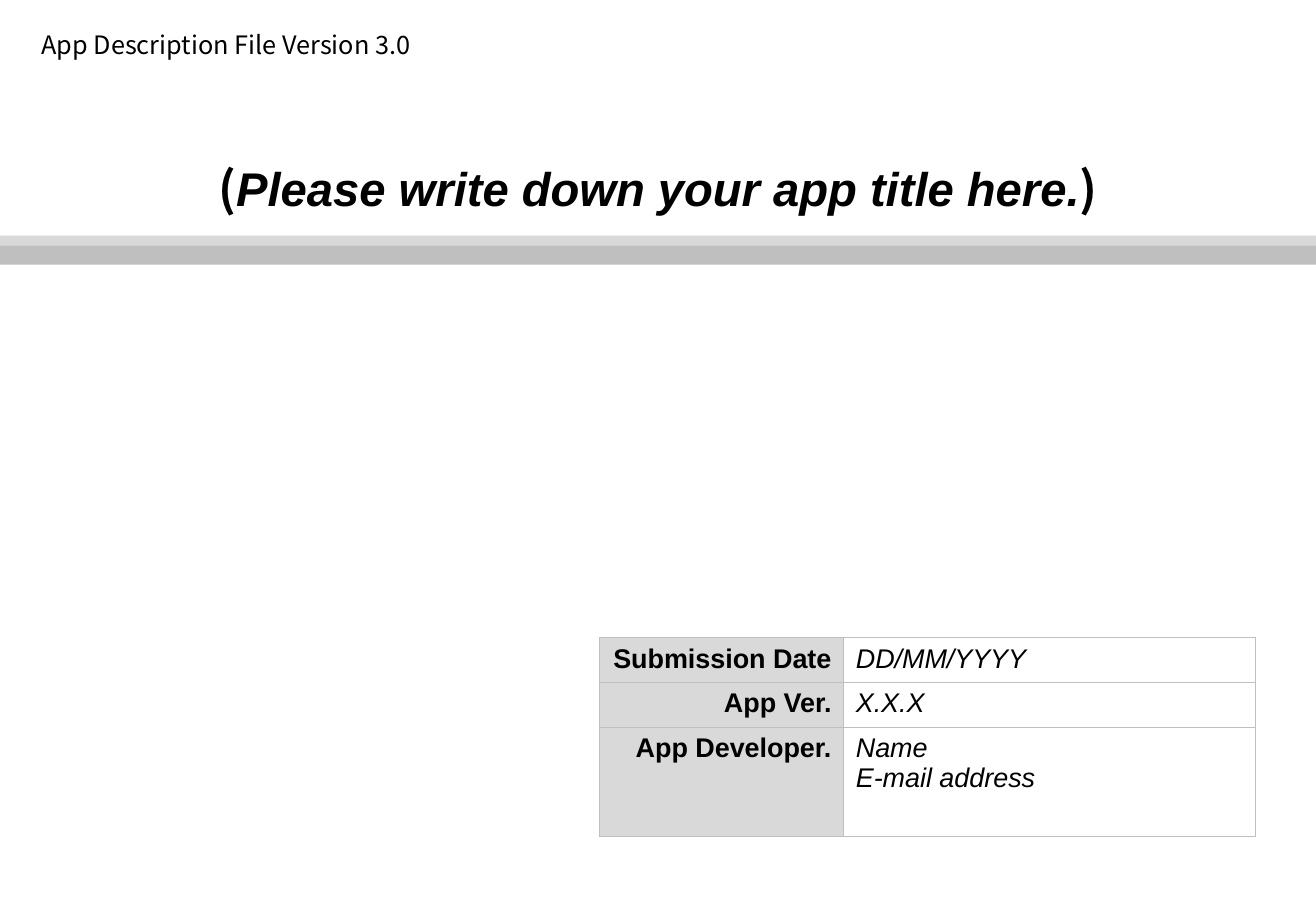
from dataclasses import dataclass

from lxml import etree
from pptx import Presentation
from pptx.dml.color import RGBColor
from pptx.enum.shapes import MSO_SHAPE
from pptx.enum.text import MSO_ANCHOR, MSO_AUTO_SIZE, PP_ALIGN
from pptx.oxml.ns import qn
from pptx.util import Inches, Pt

RECT = MSO_SHAPE.RECTANGLE
TOP, MIDDLE = MSO_ANCHOR.TOP, MSO_ANCHOR.MIDDLE
LEFT, CENTER, RIGHT = PP_ALIGN.LEFT, PP_ALIGN.CENTER, PP_ALIGN.RIGHT
NO_FIT = MSO_AUTO_SIZE.NONE

BLACK = RGBColor(0x00, 0x00, 0x00)
LIGHT_GRAY = RGBColor(0xD9, 0xD9, 0xD9)
MID_GRAY = RGBColor(0xBF, 0xBF, 0xBF)

SANS = "Arial"
CJK = "Noto Sans CJK KR"
SLIDE_W, SLIDE_H = 10.84, 7.5
BORDER_PT = 0.45


@dataclass
class Bar:
    top: float
    height: float
    color: RGBColor


@dataclass
class Field:
    label: str
    values: list[str]
    height: float


BARS = [Bar(1.94, 0.08, LIGHT_GRAY), Bar(2.02, 0.16, MID_GRAY)]
FIELDS = [
    Field("Submission Date", ["DD/MM/YYYY"], 0.37),
    Field("App Ver.", ["X.X.X"], 0.37),
    Field("App Developer.", ["Name", "E-mail address"], 0.9),
]
COLUMN_WIDTHS = [2.01, 3.39]


def add_run(p, text: str, size: float, font: str, **style) -> None:
    r = p.add_run()
    r.text = text
    r.font.color.rgb = BLACK
    formats = {"size": Pt(size), "name": font, "bold": False, "italic": False} | style
    for name, value in formats.items():
        setattr(r.font, name, value)


def format_frame(tf, margins: tuple[float, float]) -> None:
    left, right = margins
    formats = {
        "word_wrap": True, "auto_size": NO_FIT, "vertical_anchor": MIDDLE,
        "margin_left": Inches(left), "margin_right": Inches(right),
        "margin_top": Inches(0.05), "margin_bottom": Inches(0.05),
    }
    for name, value in formats.items():
        setattr(tf, name, value)


def add_bar(s, bar: Bar) -> None:
    sp = s.shapes.add_shape(RECT, 0, Inches(bar.top), Inches(SLIDE_W), Inches(bar.height))
    sp.shadow.inherit = False
    sp.fill.solid()
    sp.fill.fore_color.rgb = bar.color
    sp.line.fill.background()


def set_borders(cell) -> None:
    tc_pr = cell._tc.get_or_add_tcPr()
    for side in ("lnL", "lnR", "lnT", "lnB"):
        ln = etree.SubElement(tc_pr, qn(f"a:{side}"), w=str(Pt(BORDER_PT)))
        fill = etree.SubElement(ln, qn("a:solidFill"))
        etree.SubElement(fill, qn("a:srgbClr"), val=str(MID_GRAY))


def fill_cell(cell, lines: list[str], is_label: bool) -> None:
    set_borders(cell)
    if is_label:
        cell.fill.solid()
        cell.fill.fore_color.rgb = LIGHT_GRAY
    else:
        cell.fill.background()
    cell.vertical_anchor = TOP
    tf = cell.text_frame
    for i, line in enumerate(lines):
        p = tf.add_paragraph() if i else tf.paragraphs[0]
        p.alignment = RIGHT if is_label else LEFT
        add_run(p, line, 16, SANS, bold=is_label, italic=not is_label)


def add_field_table(s, left: float, top: float) -> None:
    frame = s.shapes.add_table(
        len(FIELDS), len(COLUMN_WIDTHS), Inches(left), Inches(top),
        Inches(sum(COLUMN_WIDTHS)), Inches(sum(f.height for f in FIELDS)))
    table = frame.table
    table.first_row = table.horz_banding = False
    for column, width in zip(table.columns, COLUMN_WIDTHS):
        column.width = Inches(width)
    for i, field in enumerate(FIELDS):
        table.rows[i].height = Inches(field.height)
        fill_cell(table.cell(i, 0), [field.label], True)
        fill_cell(table.cell(i, 1), field.values, False)


def main() -> None:
    prs = Presentation()
    prs.slide_width, prs.slide_height = Inches(SLIDE_W), Inches(SLIDE_H)
    s = prs.slides.add_slide(prs.slide_layouts[5])

    # Double rule below the title
    for bar in BARS:
        add_bar(s, bar)

    # App title
    title = s.shapes.title
    title.left, title.top = Inches(0), Inches(1.15)
    title.width, title.height = Inches(SLIDE_W), Inches(0.79)
    format_frame(title.text_frame, (0.1, 0.1))
    p = title.text_frame.paragraphs[0]
    p.alignment = CENTER
    add_run(p, "(", 28, CJK, bold=True)
    add_run(p, "Please write down your app title here.", 28, SANS, bold=True, italic=True)
    add_run(p, ")", 28, CJK, bold=True)

    # File version
    version = s.shapes.add_textbox(Inches(0.3), Inches(0.21), Inches(4.88), Inches(0.31))
    format_frame(version.text_frame, (0.04, 0))
    add_run(version.text_frame.paragraphs[0], "App Description File Version 3.0", 15, CJK)

    # Submission details
    add_field_table(s, 4.94, 5.25)

    prs.save("out.pptx")


if __name__ == "__main__":
    main()
